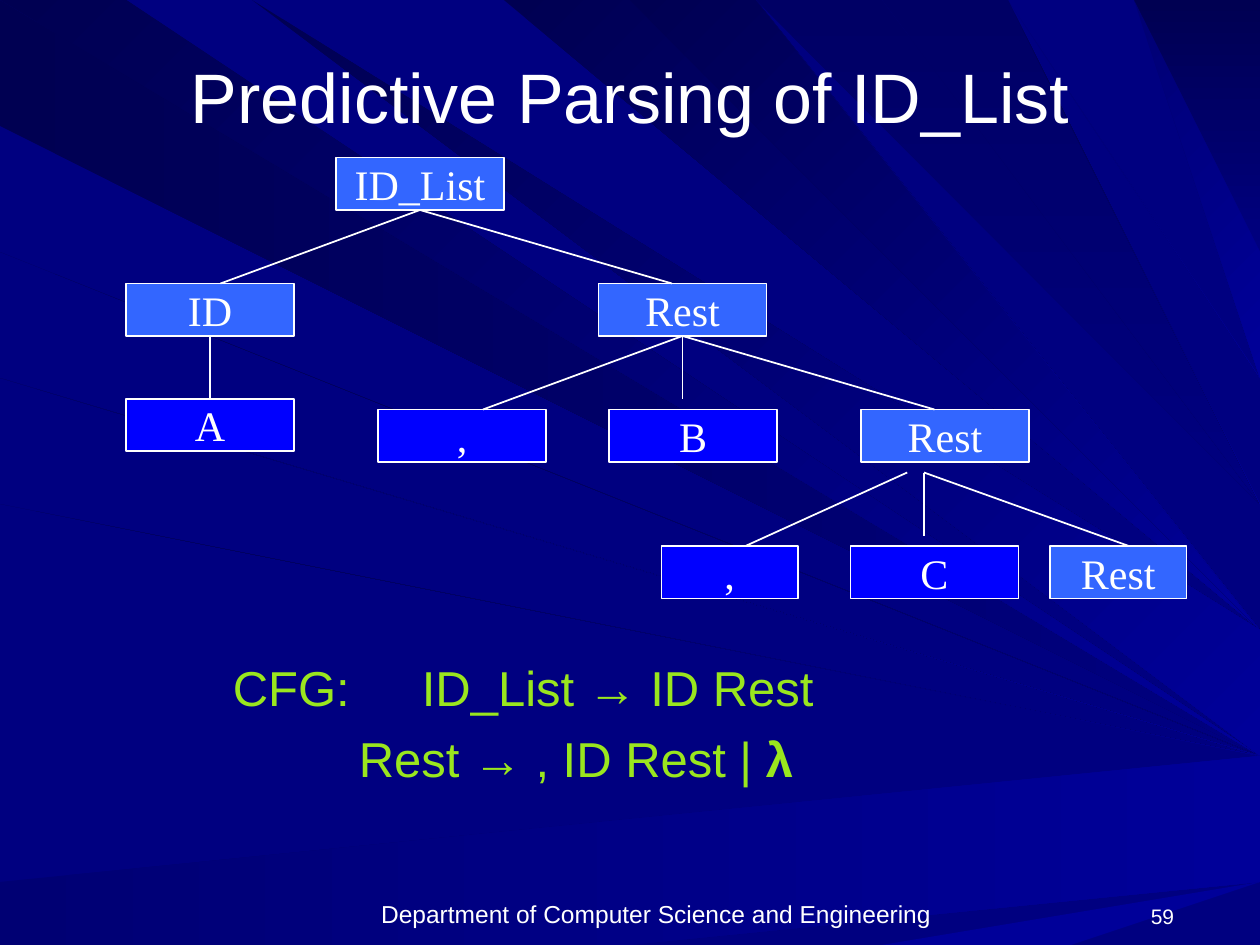
"""Build the slide on predictive parsing of ID_List."""
from lxml.etree import SubElement
from pptx import Presentation
from pptx.dml.color import RGBColor
from pptx.enum.shapes import MSO_CONNECTOR, MSO_SHAPE
from pptx.enum.text import MSO_ANCHOR, PP_ALIGN
from pptx.oxml.ns import qn
from pptx.util import Inches, Pt

INK = {"dark": "000052", "dim": "000065", "soft": "000073", "base": "000080",
       "glow": "000099", "white": "FFFFFF", "rule": "3366FF", "leaf": "0000FF",
       "lime": "9AE61E"}
WIDE, TALL, COLS, HIGH, THIN = 10, 7.5, 120, 5, 0.02

RAYS = [
    ("left", "dark", "base", 0.02, 0.93, 5.69),
    ("top", "dark", "glow", 0.26, 1.01, 5.62),
    ("left", "dim", "base", 5.96, 6.23, 6.31),
    ("left", "soft", "glow", 6.65, 7.04, 6.43, 0.08),
    ("left", "soft", "glow", 7.35, 7.5, 6.62),
    ("low", "glow", "glow", 3.64, 7.42, 6.72, 0.22),
    ("left", "dark", "glow", 2.58, 2.7, 5.88),
    ("left", "dark", "base", 1.59, 2.28, 5.84),
    ("top", "dim", "glow", 4.16, 3.98, 5.15, 0.06),
    ("top", "dark", "glow", 4.92, 4.26, 4.79, 0.28),
    ("top", "dark", "glow", 5.52, 5.4, 4.63),
    ("top", "dim", "base", 6.61, 6.06, 4.45),
    ("top", "dark", "base", 9.3, 8.87, 1.83, 0.54),
    ("top", "dark", "base", 9.64, 9.39, 1.14, 0.53),
    ("left", "dim", "glow", 2.78, 3.42, 5.96, 0.06),
    ("left", "dark", "glow", 3.74, 4.37, 6.05),
    ("left", "base", "glow", 5.52, 5.6, 6.21),
    ("top", "dark", "glow", 2.47, 2.25, 5.47, 0.05),
    ("top", "base", "glow", 5.88, 5.77, 4.53),
    ("top", "dim", "base", 7.7, 6.86, 3.9, 0.38),
    ("top", "dark", "glow", 7.92, 7.85, 3.54, 0.06),
    ("top", "soft", "glow", 8.24, 8.15, 3.35),
    ("top", "soft", "glow", 8.72, 8.65, 2.49, 0.09),
    ("left", "soft", "glow", 2.83, 3.47, 6.01, 0.05),
]

NODES = {
    "root": ("ID_List", "rule", 32, 15),
    "id": ("ID", "rule", 12, 27),
    "comma1": (",", "leaf", 36, 39),
    "rest1": ("Rest", "rule", 57, 27),
    "a": ("A", "leaf", 12, 38),
    "b": ("B", "leaf", 58, 39),
    "rest2": ("Rest", "rule", 82, 39),
    "comma2": (",", "leaf", 63, 52, 13),
    "rest3": ("Rest", "rule", 100, 52, 13),
    "c": ("C", "leaf", 81, 52),
}
EDGES = [
    ("root", (21, 27)), ("root", (64, 27)), ("id", "a"),
    ("rest1", (46, 39)), ("rest1", (65, 38)), ("rest1", (89, 39)),
    ((86.4, 45), (71, 52)), ((88, 45), (88, 51)), ((88, 45), (107.5, 52)),
]
MID, LOW, TOP = MSO_ANCHOR.MIDDLE, MSO_ANCHOR.BOTTOM, MSO_ANCHOR.TOP
TEXTS = [
    ((22, 85, 81, 4), [["Department of Computer Science and Engineering"]],
     14, "white", PP_ALIGN.CENTER, LOW, 0),
    ((105, 85, 8, 4), [["59"]], 12, "white", PP_ALIGN.RIGHT, LOW, 0),
    ((6, 3.6, 108, 11), [["Predictive Parsing of ID_List"]],
     40, "white", PP_ALIGN.CENTER, MID, 0),
    ((21, 62, 75, 20.4),
     [["CFG:\t\tID_List → ID Rest"], ["\t\tRest → , ID Rest | ", "λ"]],
     28, "lime", PP_ALIGN.LEFT, TOP, 7),
]

deck = Presentation()
deck.slide_width, deck.slide_height = Inches(WIDE), Inches(TALL)
slide = deck.slides.add_slide(deck.slide_layouts[6])
CELL = deck.slide_width / COLS


def grid(*cells):
    return [round(cell * CELL) for cell in cells]


def tint(name):
    return RGBColor.from_string(INK[name])


def paint(fill, name):
    fill.solid()
    fill.fore_color.rgb = tint(name)


def style(para, face, size, name, align):
    para.alignment = align
    para.font.name, para.font.size = face, Pt(size)
    para.font.color.rgb = tint(name)


def add_ray(group, side, near, far, start, end, tip, thick=THIN):
    ends = {"left": [(0, start), (0, end)],
            "top": [(start, 0), (end, 0)],
            "low": [(start, TALL), (end, TALL)]}[side]
    pen = group.shapes.build_freeform(*ends[0], scale=Inches(1))
    pen.add_line_segments([(WIDE, tip), (WIDE, tip + thick), ends[1]], close=True)
    ray = pen.convert_to_shape()
    ray.shadow.inherit = False
    ray.line.fill.background()
    ray.fill.gradient()
    steep = 315 if far == "glow" else 270
    ray.fill.gradient_angle = steep if side == "top" else 0
    for stop, name in zip(ray.fill.gradient_stops, (near, far)):
        stop.color.rgb = tint(name)


def add_node(label, kind, left, top, width=16):
    node = slide.shapes.add_shape(MSO_SHAPE.RECTANGLE, *grid(left, top, width, HIGH))
    node.shadow.inherit = False
    paint(node.fill, kind)
    node.line.color.rgb, node.line.width = tint("white"), Pt(1)
    frame = node.text_frame
    frame.word_wrap, frame.vertical_anchor = False, MID
    frame.text = label
    style(frame.paragraphs[0], "Times New Roman", 24, "white", PP_ALIGN.CENTER)
    return node


def add_edge(start, end, nodes):
    spots = [(0, 0) if spot in nodes else spot for spot in (start, end)]
    edge = slide.shapes.add_connector(MSO_CONNECTOR.STRAIGHT, *grid(*spots[0], *spots[1]))
    if start in nodes:
        edge.begin_connect(nodes[start], 2)
    if end in nodes:
        edge.end_connect(nodes[end], 0)
    edge.line.color.rgb, edge.line.width = tint("white"), Pt(1)
    SubElement(edge._element.spPr, qn("a:effectLst"))


def add_text(area, lines, size, name, align, anchor, gap):
    frame = slide.shapes.add_textbox(*grid(*area)).text_frame
    frame.word_wrap, frame.vertical_anchor = True, anchor
    for row, parts in enumerate(lines):
        para = frame.add_paragraph() if row else frame.paragraphs[0]
        style(para, "Arial", size, name, align)
        para.space_before = Pt(gap)
        for part in parts:
            run = para.add_run()
            run.text = part
            if part == "λ":
                run.font.bold = True


paint(slide.background.fill, "base")
rays = slide.shapes.add_group_shape()
for ray in RAYS:
    add_ray(rays, *ray)
for text in TEXTS:
    add_text(*text)
nodes = {key: add_node(*node) for key, node in NODES.items()}
for start, end in EDGES:
    add_edge(start, end, nodes)
deck.save("out.pptx")
